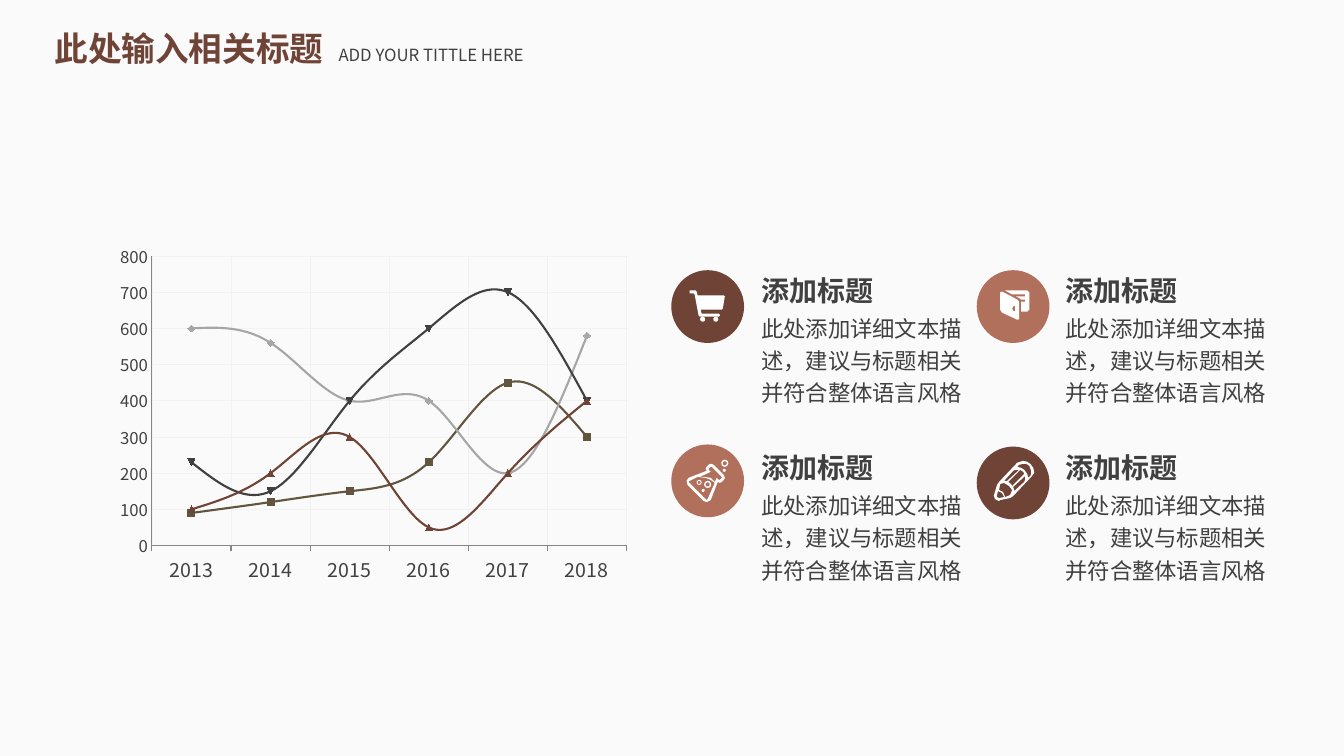
import pptx
import pptx.chart.data
import pptx.dml.color
import pptx.enum.chart
import pptx.enum.shapes
import pptx.enum.text
import pptx.oxml
import pptx.oxml.ns
import pptx.util
from lxml import etree

Pt = pptx.util.Pt
SHAPE = pptx.enum.shapes.MSO_SHAPE
TICK = pptx.enum.chart.XL_TICK_MARK
FACE = "Noto Sans CJK SC"
INK, BROWN, CLAY, WHITE = "404040", "6F4336", "B0705C", "FFFFFF"
UNIT = 0.72  # icon grid step in points
DISC = 52

YEARS = ["2013", "2014", "2015", "2016", "2017", "2018"]
SERIES = [
    ("Series 1", "62553E", (90, 120, 150, 230, 450, 300)),
    ("Series 2", "A6A6A6", (600, 560, 400, 400, 200, 580)),
    ("Series 3", INK, (230, 150, 400, 600, 700, 400)),
    ("Series 4", BROWN, (100, 200, 300, 50, 200, 400)),
]

# Icons sit on a grid centred on their disc. Each outline is a list of
# contours; rings and dots are (x, y, diameter).
CART = {
    "outlines": [[[
        (16, -11), (17, -10), (15, 2), (14, 3), (-7, 3), (-6, 7), (11, 7),
        (12, 8), (12, 9), (11, 10), (-8, 10), (-9, 9), (-13, -12), (-14, -13),
        (-18, -13), (-18, -16), (-12, -16), (-11, -15), (-10, -11)]]],
    "dots": [(-5, 12.5, 5), (8, 12.5, 5)],
}
FLASK = {
    "outlines": [[
        [(6, -16), (3, -17), (1, -16), (-1, -14), (-2, -12), (-1, -10),
         (-19, -3), (-21, 0), (-20, 4), (-4, 20), (-1, 21), (3, 19), (10, 1),
         (12, 2), (14, 1), (16, -1), (17, -3), (16, -6)],
        [(0, 18), (-1, 19), (-2, 18), (-18, 2), (-19, 1), (-18, 0), (-10, -4),
         (-2, -3), (3, -1), (7, 2)],
        [(14, -3), (12, -1), (11, -1), (9, -3), (7, 1), (3, -3), (-4, -4),
         (-8, -4), (3, -9), (1, -11), (1, -12), (3, -14), (4, -14), (14, -4)],
    ]],
    "rings": [(0, 3.5, 7), (17, -17.5, 7), (-8.5, 1.5, 5)],
    "dots": [(-4.5, 9.5, 3), (16.5, -10.5, 3)],
}
BOOK = {
    "outlines": [
        [[(14, -16), (-8, -16), (-1, -12), (12, -12), (12, -10), (3, -10),
          (5, -9), (8, -7), (12, -7), (12, -5), (8, -5), (8, 5), (14, 5),
          (16, 3), (16, -14)]],
        [[(4, -7), (-11, -15), (-13, -14), (-13, 3), (-11, 6), (4, 13),
          (5, 13), (6, 12), (6, -5)],
         [(1, 5), (0, 4), (-1, 2), (0, 0), (1, -1), (2, 0), (2, 4)]],
    ],
}
PENCIL = {
    "outlines": [[
        [(17, -19), (14, -21), (10, -22), (7, -21), (4, -20), (-14, -1),
         (-16, 2), (-19, 12), (-19, 13), (-18, 16), (-14, 18), (-13, 17),
         (-3, 15), (0, 13), (18, -6), (21, -10), (20, -15)],
        [(1, 7), (0, 4), (12, -7), (12, -4), (11, -1), (1, 8)],
        [(-1, 3), (-2, 1), (-5, -1), (7, -13), (10, -11), (11, -9)],
        [(-6, -2), (-9, -2), (0, -12), (2, -13), (6, -13)],
        [(-14, 15), (-16, 14), (-16, 12), (-15, 8), (-11, 10), (-9, 14)],
        [(-8, 14), (-10, 9), (-14, 7), (-13, 2), (-13, 1), (-9, 0), (-4, 3),
         (-1, 7), (-3, 12)],
        [(17, -7), (15, -5), (14, -9), (11, -13), (8, -15), (4, -16),
         (6, -18), (10, -19), (13, -19), (16, -17), (18, -12), (18, -9)],
    ]],
}
# Icon, disc colour, disc left and top, text left, heading top
CARDS = [
    (CART, BROWN, 479.5, 193, 535, 190.8),
    (FLASK, CLAY, 479.5, 317.5, 535, 317.5),
    (BOOK, CLAY, 697.7, 193, 752.4, 190.8),
    (PENCIL, BROWN, 697.7, 319, 752.4, 317.5),
]


def rgb(code):
    return pptx.dml.color.RGBColor.from_string(code)


def apply(target, values):
    for name, value in values.items():
        setattr(target, name, value)


def paint(fill, code):
    fill.solid()
    fill.fore_color.rgb = rgb(code)


def stroke(line, code, width):
    paint(line.fill, code)
    line.width = Pt(width)


def style(font, size, code=INK, face=FACE, bold=None):
    apply(font, {"size": Pt(size), "name": face, "bold": bold})
    font.color.rgb = rgb(code)


def place(shape, *box):
    apply(shape, dict(zip(("left", "top", "width", "height"), map(Pt, box))))


def write(shape, text, size, inset=(7.2, 3.6), wrap=True, space=None, **look):
    """Fill a shape's text frame with one styled paragraph."""
    frame = shape.text_frame
    side, edge = map(Pt, inset)
    apply(frame, {
        "margin_left": side, "margin_right": side,
        "margin_top": edge, "margin_bottom": edge, "word_wrap": wrap,
        "auto_size": pptx.enum.text.MSO_AUTO_SIZE.SHAPE_TO_FIT_TEXT,
        "vertical_anchor": pptx.enum.text.MSO_ANCHOR.TOP,
    })
    para = frame.paragraphs[0]
    apply(para, {"alignment": pptx.enum.text.PP_ALIGN.LEFT,
                 "line_spacing": space})
    run = para.add_run()
    run.text = text
    style(run.font, size, **look)
    east = etree.SubElement(run._r.get_or_add_rPr(), pptx.oxml.ns.qn("a:ea"))
    east.set("typeface", FACE)


def label(slide, box, text, size, **look):
    write(slide.shapes.add_textbox(*map(Pt, box)), text, size, **look)


def finish(shape, code):
    shape.shadow.inherit = False
    paint(shape.fill, code)
    shape.line.fill.background()


def round_shape(slide, kind, x, y, size, code):
    """Add a circular shape centred on x, y."""
    box = (x - size / 2, y - size / 2, size, size)
    shape = slide.shapes.add_shape(kind, *map(Pt, box))
    finish(shape, code)
    return shape


def draw_icon(slide, icon, x, y):
    for first, *holes in icon["outlines"]:
        pen = slide.shapes.build_freeform(*first[0], scale=Pt(UNIT))
        pen.add_line_segments(first[1:])
        for hole in holes:
            pen.move_to(*hole[0])
            pen.add_line_segments(hole[1:])
        finish(pen.convert_to_shape(Pt(x), Pt(y)), WHITE)
    for key, kind in (("rings", SHAPE.DONUT), ("dots", SHAPE.OVAL)):
        for dx, dy, size in icon.get(key, ()):
            shape = round_shape(slide, kind, x + dx * UNIT, y + dy * UNIT,
                                size * UNIT, WHITE)
            if key == "rings":
                shape.adjustments[0] = 0.2


def add_card(slide, icon, code, left, top, text_left, text_top):
    x, y = left + DISC / 2, top + DISC / 2
    round_shape(slide, SHAPE.OVAL, x, y, DISC, code)
    draw_icon(slide, icon, x, y)
    inset = (8.64, 4.32)
    label(slide, (text_left, text_top, 98, 33), "添加标题", 20,
          inset=inset, wrap=False, face="Lato", bold=True)
    label(slide, (text_left, text_top + 26, 162.7, 78.5),
          "此处添加详细文本描述，建议与标题相关并符合整体语言风格", 16,
          inset=inset, space=1.2)


def set_plot(chart, x, y, w, h):
    """Fix the inner plot area as fractions of the chart."""
    area = chart._chartSpace.chart.plotArea
    for old in area.findall(pptx.oxml.ns.qn("c:layout")):
        area.remove(old)
    places = "".join(f'<c:{tag} val="{value}"/>' for tag, value in (
        ("layoutTarget", "inner"), ("xMode", "edge"), ("yMode", "edge"),
        ("x", x), ("y", y), ("w", w), ("h", h)))
    area.insert(0, pptx.oxml.parse_xml(
        f'<c:layout {pptx.oxml.ns.nsdecls("c")}><c:manualLayout>{places}'
        '</c:manualLayout></c:layout>'))


def add_lines(slide, *box):
    data = pptx.chart.data.CategoryChartData()
    data.categories = YEARS
    for name, _, values in SERIES:
        data.add_series(name, values)
    kind = pptx.enum.chart.XL_CHART_TYPE.LINE_MARKERS
    chart = slide.shapes.add_chart(kind, *map(Pt, box), data).chart
    apply(chart, {"has_legend": False, "has_title": False})
    style(chart.font, 18, "000000")
    set_plot(chart, 0.061, 0.02, 0.915, 0.886)
    apply(chart.value_axis, {"minimum_scale": 0, "maximum_scale": 800,
                             "major_unit": 100})
    for axis, size, tick in ((chart.category_axis, 14, TICK.OUTSIDE),
                             (chart.value_axis, 12, TICK.NONE)):
        apply(axis, {"major_tick_mark": tick, "minor_tick_mark": TICK.NONE,
                     "has_major_gridlines": True})
        style(axis.tick_labels.font, size)
        stroke(axis.major_gridlines.format.line, "F2F2F2", 0.5)
        stroke(axis.format.line, "868686", 0.75)
    chart.plots[0].vary_by_categories = False
    for series, (_, code, _) in zip(chart.plots[0].series, SERIES):
        series.smooth = True
        stroke(series.format.line, code, 1.5)
        series.marker.size = 5
        paint(series.marker.format.fill, code)
        stroke(series.marker.format.line, code, 0.75)


def main():
    deck = pptx.Presentation()
    apply(deck, {"slide_width": Pt(960), "slide_height": Pt(540)})
    slide = deck.slides.add_slide(deck.slide_layouts[5])
    paint(slide.background.fill, "FAFAFA")
    title = slide.shapes.title
    place(title, 31.7, 16.6, 219.6, 36)
    write(title, "此处输入相关标题", 24, code=BROWN, bold=True)
    label(slide, (234.7, 28.1, 200.9, 21.6), "ADD YOUR TITTLE HERE", 12)
    add_lines(slide, 85.7, 174.2, 370.8, 241.9)
    for card in CARDS:
        add_card(slide, *card)
    deck.save("out.pptx")


if __name__ == "__main__":
    main()
